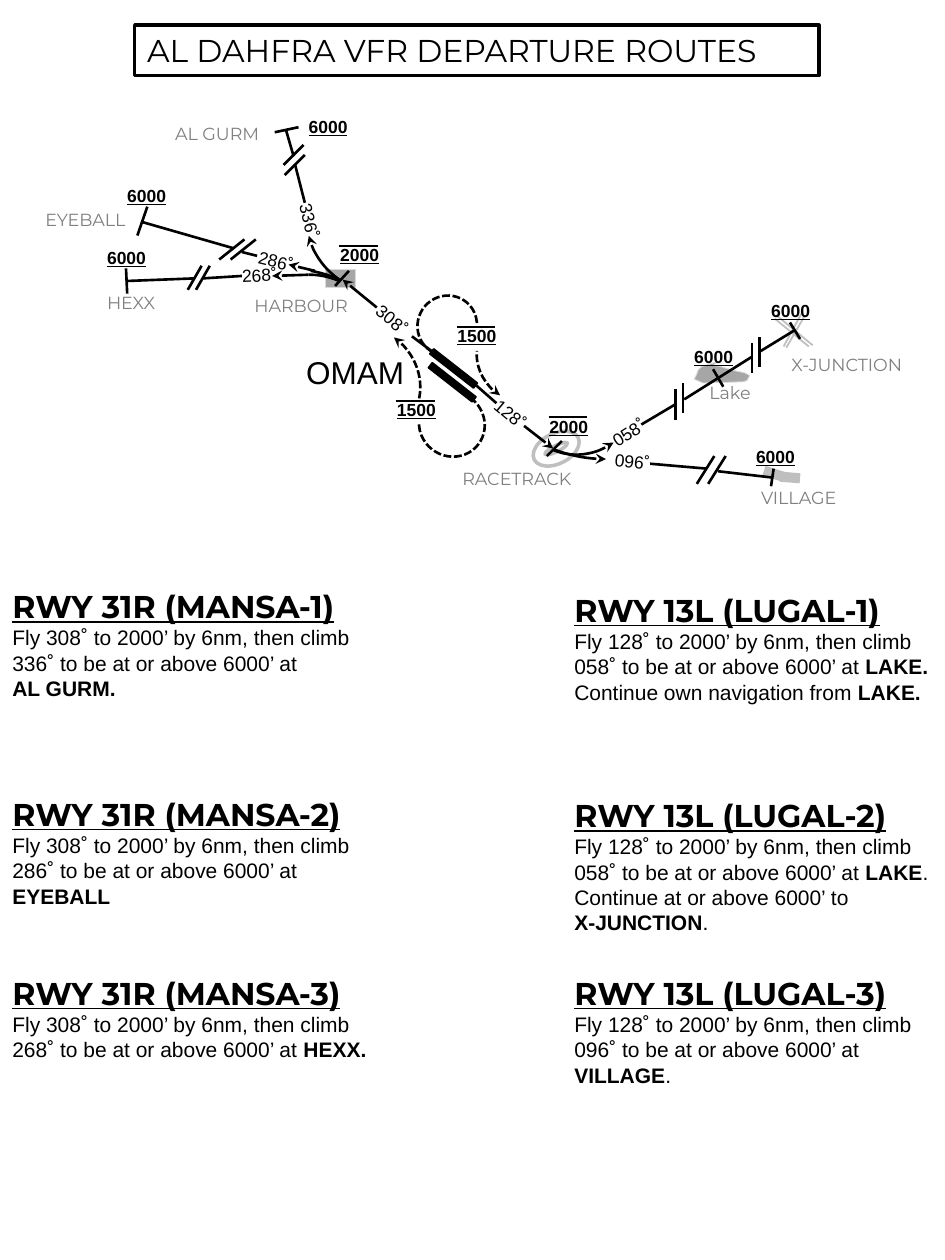
from lxml import etree
from pptx import Presentation
from pptx import util as u
from pptx.dml.color import RGBColor
from pptx.enum import dml, shapes, text
from pptx.oxml.ns import qn

COLORS = {"black": "000000", "label": "808080", "dark": "A6A6A6",
          "grey": "BFBFBF", "edge": "D9D9D9"}

TRACKS = [
    (247, 200.9, 235.4, 192.2), (272.2, 220.3, 283.7, 230.4),
    (133.2, 141.8, 80.6, 126.7), (146.9, 146.2, 138.2, 144),
    (168.5, 93.6, 174.2, 115.9), (163.4, 74.2, 167.8, 89.3),
    (115.9, 159.1, 138.2, 157.7), (72, 160.6, 110.9, 159.1),
    (385.9, 231.1, 366.5, 242.6), (410.4, 216, 391, 228.2),
    (429.8, 203.8, 410.4, 216), (454.3, 188.6, 434.2, 200.9),
    (403.9, 267.8, 371.5, 265), (441.4, 272.9, 410.4, 269.3),
]
FIX_TICKS = [
    (191.5, 163.4, 199.4, 154.8), (157, 75.6, 170.6, 72.7),
    (78.5, 134.6, 84.2, 118.1), (72, 153.4, 72.7, 167.8),
    (407.5, 211, 413.3, 221), (312.5, 260.6, 321.1, 252),
    (451.4, 184.3, 457.2, 193.7), (442.1, 267.8, 440.6, 277.9),
]
ARROWS = [
    (215.3, 175.7, 195.8, 159.8), (176.4, 157, 155.5, 157.7),
    (180, 154.8, 164.9, 151.2), (299.5, 243.4, 316.1, 256.3),
]
# First stroke, then the shift to its parallel twin
BREAKS = [
    ((173.5, 82.8, 162, 94.3), (0.7, 5.8)),
    ((139.7, 136.8, 125.3, 148.3), (6.5, 0)),
    ((115.2, 151.9, 107.3, 165.6), (4.7, 0)),
    ((385.9, 222.5, 385.9, 239.8), (4.3, -3.6)),
    ((429.8, 195.8, 429.8, 213.1), (4.3, -3.2)),
    ((408.2, 260.6, 398.2, 276.5), (6.5, 0)),
]
JUNCTION_ROADS = [
    (457.9, 179.3, 447.8, 198), (460.1, 180, 449.3, 198.7),
    (462.2, 198, 442.8, 182.2), (464.4, 197.3, 443.5, 180),
]
# Box, rotation, flips, start and end angle in degrees, arrow, dashed
TURNS = [
    ((180, 93.6, 66.2, 78.5), 303.6, "H", 306.58, 0, True, False),
    ((151.9, 151.2, 59.8, 73.4), 112, "HV", 328.19, 3.04, False, False),
    ((146.9, 136.8, 67.7, 108), 112, "HV", 332.92, 0, False, False),
    ((296.6, 174.2, 61.2, 108), 290, "HV", 310.76, 0, True, False),
    ((290.2, 180.7, 85.7, 74.2), 293, "HV", 310.42, 0, True, False),
    ((270.7, 183.6, 51.1, 44.6), 47.7, "HV", 249.95, 324.91, True, True),
    ((238.3, 169.2, 34.6, 33.8), 303.6, "H", 128.55, 0, False, True),
    ((239.8, 223.2, 36.7, 38.2), 128, "H", 128.55, 0, False, True),
    ((176.4, 188.6, 65.5, 59.8), 51.9, "", 249.95, 324.91, True, True),
]
LAKE = [(410.4, 206.6), (401, 209.5), (398.9, 211.7), (398.2, 213.8),
        (396.7, 216.7), (401.8, 218.9), (424.8, 218.2), (427, 217.4),
        (428.4, 214.6), (425.5, 213.1), (419, 211.7), (414, 210.2),
        (411.8, 209.5), (407.5, 208.8)]
PLACES = [
    ("HARBOUR", 145.4, 164.9, 61.9), ("AL GURM", 100.1, 67, 56.9),
    ("EYEBALL", 25.9, 115.9, 56.9), ("HEXX", 61.2, 163.4, 45.4),
    ("RACETRACK", 264.2, 264.2, 78.5), ("Lake", 405.4, 214.6, 45.4),
    ("X-JUNCTION", 452.2, 198.7, 87.8), ("VILLAGE", 434.9, 275, 51.1),
]
BEARINGS = [
    ("308˚", 211, 173.5, 39.2), ("128˚", 278.6, 227.5, 39.6),
    ("336˚", 163.4, 117.4, 76.7), ("268˚", 135.4, 147.6, 357.5),
    ("286˚", 144.7, 139.7, 13.6), ("058˚", 346.3, 236.9, 327.7),
    ("096˚", 348.5, 254.2, 5.5),
]
ALTITUDES = [
    ("6000", 173.5, 66.2), ("6000", 58.3, 141.1), ("6000", 69.8, 105.8),
    ("6000", 429.1, 254.9), ("6000", 393.8, 198), ("6000", 437.8, 171.4),
    ("2000", 311, 237.6), ("2000", 191.5, 139.7),
    ("1500", 258.5, 185.8), ("1500", 223.9, 228.2),
]
# Left, top, height, name, outbound track, climb track, ending (*bold*)
ROUTES = [
    (0, 331.9, 116.6, "RWY 31R (MANSA-1)", "308", "336", "*\nAL GURM.*"),
    (0, 450.7, 116.6, "RWY 31R (MANSA-2)", "308", "286", " *EYEBALL*"),
    (0, 553, 101.5, "RWY 31R (MANSA-3)", "308", "268", " *HEXX.*"),
    (321.1, 334.1, 116.6, "RWY 13L (LUGAL-1)", "128", "058",
     " *LAKE. *Continue own navigation from *LAKE.*"),
    (321.1, 451.4, 131, "RWY 13L (LUGAL-2)", "128", "058",
     " *LAKE*. Continue at or above 6000’ to*\nX-JUNCTION*."),
    (321.1, 553, 116.6, "RWY 13L (LUGAL-3)", "128", "096", " *VILLAGE*."),
]


def rgb(name):
    return RGBColor.from_string(COLORS[name])


def add_end(shape, end):
    """Put a stealth arrowhead on "headEnd" or "tailEnd"."""
    line = shape.line._get_or_add_ln()
    etree.SubElement(line, qn("a:" + end), type="stealth")


def add_line(slide, points, color="black", width=1.5, arrow=False):
    line = slide.shapes.add_connector(
        shapes.MSO_CONNECTOR.STRAIGHT, *[u.Pt(value) for value in points])
    line.line.color.rgb = rgb(color)
    line.line.width = u.Pt(width)
    etree.SubElement(line.element.spPr, qn("a:effectLst"))
    if arrow:
        add_end(line, "tailEnd")


def paint(shape, fill=None, line=None, width=1):
    shape.shadow.inherit = False
    if fill:
        shape.fill.solid()
        shape.fill.fore_color.rgb = rgb(fill)
    else:
        shape.fill.background()
    if line:
        shape.line.color.rgb = rgb(line)
        shape.line.width = u.Pt(width)
    else:
        shape.line.fill.background()


def add_preset(slide, kind, box, rotation=0, **style):
    shape = slide.shapes.add_shape(kind, *[u.Pt(value) for value in box])
    shape.rotation = rotation
    paint(shape, **style)
    return shape


def add_turn(slide, box, rotation, flips, start, end, arrow, dashed):
    arc = add_preset(slide, shapes.MSO_SHAPE.ARC, box, rotation,
                     line="black", width=1.5)
    for index, angle in enumerate((start, end)):
        arc.adjustments[index] = angle * 0.6
    for axis in flips:
        arc.element.spPr.find(qn("a:xfrm")).set("flip" + axis, "1")
    if dashed:
        arc.line.dash_style = dml.MSO_LINE.SQUARE_DOT
    if arrow:
        add_end(arc, "headEnd")


def add_lake(slide):
    points = [(u.Pt(x), u.Pt(y)) for x, y in LAKE]
    builder = slide.shapes.build_freeform(*points[0])
    builder.add_line_segments(points[1:], close=True)
    paint(builder.convert_to_shape(), "dark", "edge", 0.5)


def style_font(font, name, size, color="black", bold=False, underline=False):
    font.name, font.size, font.color.rgb = name, u.Pt(size), rgb(color)
    font.bold, font.underline = bold, underline


def set_frame(shape, margins=(7.2, 3.6, 7.2, 3.6)):
    frame = shape.text_frame
    frame.word_wrap = True
    frame.auto_size = text.MSO_AUTO_SIZE.SHAPE_TO_FIT_TEXT
    frame.vertical_anchor = text.MSO_ANCHOR.TOP
    (frame.margin_left, frame.margin_top, frame.margin_right,
     frame.margin_bottom) = [u.Pt(value) for value in margins]
    return frame


def add_label(slide, words, box, margins, rotation=0, **style):
    label = slide.shapes.add_textbox(*[u.Pt(value) for value in box])
    label.rotation = rotation
    frame = set_frame(label, margins)
    frame.text = words
    style_font(frame.paragraphs[0].runs[0].font, **style)


def add_altitude(slide, words, x, y):
    """Underlined minimum altitude; hard altitudes also get an overbar."""
    add_label(slide, words, (x, y, 28.1, 12.2), (2.9, 0, 0, 0),
              name="Arial", size=10, bold=True, underline=True)
    if words != "6000":
        add_line(slide, (x + 2.5, y + 0.9, x + 24.4, y + 0.9), width=1)


def add_route(slide, left, top, height, name, outbound, climb, ending):
    box = slide.shapes.add_textbox(u.Pt(left), u.Pt(top), u.Pt(218.9), u.Pt(height))
    frame = set_frame(box)
    frame.text = name
    style_font(frame.paragraphs[0].runs[0].font, "Montserrat", 18,
               bold=True, underline=True)
    body = (f"Fly {outbound}˚ to 2000’ by 6nm, then climb {climb}˚ "
            f"to be at or above 6000’ at{ending}")
    paragraph = frame.add_paragraph()
    for index, piece in enumerate(body.split("*")):
        if piece.startswith("\n"):
            paragraph.add_line_break()
        if piece:
            run = paragraph.add_run()
            run.text = piece.lstrip("\n")
            style_font(run.font, "Arial", 12, bold=index % 2 == 1)


def add_title(slide):
    title = add_preset(slide, shapes.MSO_SHAPE.RECTANGLE, (77, 14.4, 391, 28.8),
                       line="black", width=2)
    frame = set_frame(title)
    frame.text = "AL DAHFRA VFR DEPARTURE ROUTES"
    frame.paragraphs[0].alignment = text.PP_ALIGN.LEFT
    style_font(frame.paragraphs[0].runs[0].font, "Montserrat", 18)


def add_landmarks(slide):
    rectangle = shapes.MSO_SHAPE.RECTANGLE
    add_preset(slide, rectangle, (436.3, 267.8, 11.5, 5.8), 17.5, fill="grey")
    add_preset(slide, rectangle, (445.7, 270, 11.5, 5.8), 4.8, fill="grey")
    add_preset(slide, rectangle, (185.8, 154.1, 17.3, 10.1),
               fill="dark", line="edge", width=0.5)
    racetrack = add_preset(slide, shapes.MSO_SHAPE.DONUT, (303.8, 247.7, 28.1, 17.3),
                           333.4, line="grey", width=2)
    racetrack.adjustments[0] = 0.4
    for road in JUNCTION_ROADS:
        add_line(slide, road, "grey", 1)
    add_lake(slide)
    for left, top in ((243.4, 208.8), (242.6, 216.7)):
        add_preset(slide, rectangle, (left, top, 31.7, 3.6), 38,
                   fill="black", line="black")


def main():
    presentation = Presentation()
    presentation.slide_width, presentation.slide_height = u.Pt(540), u.Pt(720)
    slide = presentation.slides.add_slide(presentation.slide_layouts[6])
    add_title(slide)
    add_landmarks(slide)
    add_label(slide, "OMAM", (167.8, 198, 102.2, 28.8), (7.2, 3.6, 7.2, 3.6),
              name="Arial", size=18)
    for words, x, y, width in PLACES:
        add_label(slide, words, (x, y, width, 19.4), (0, 3.6, 0, 3.6),
                  name="Montserrat", size=10, color="label")
    for words, x, y, rotation in BEARINGS:
        add_label(slide, words, (x, y, 27.4, 19.4), (2.9, 3.6, 2.9, 3.6),
                  rotation, name="Arial", size=10)
    for points in TRACKS + FIX_TICKS:
        add_line(slide, points)
    for points in ARROWS:
        add_line(slide, points, arrow=True)
    for (x1, y1, x2, y2), (dx, dy) in BREAKS:
        add_line(slide, (x1, y1, x2, y2))
        add_line(slide, (x1 + dx, y1 + dy, x2 + dx, y2 + dy))
    for turn in TURNS:
        add_turn(slide, *turn)
    for altitude in ALTITUDES:
        add_altitude(slide, *altitude)
    for route in ROUTES:
        add_route(slide, *route)
    presentation.save("out.pptx")


if __name__ == "__main__":
    main()
